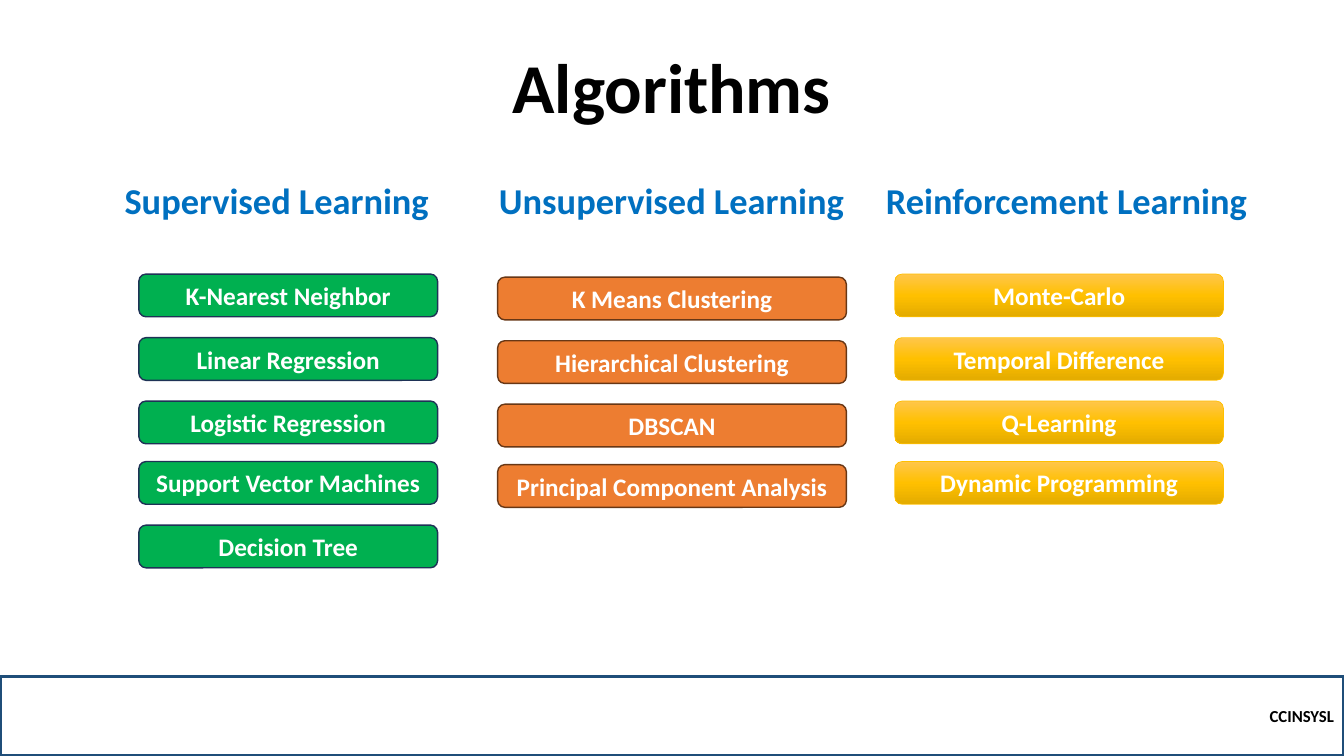
from copy import deepcopy

from pptx import Presentation
from pptx.dml.color import RGBColor
from pptx.enum.shapes import MSO_SHAPE
from pptx.enum.text import MSO_ANCHOR, MSO_AUTO_SIZE, PP_ALIGN
from pptx.oxml.ns import qn
from pptx.util import Pt

RECTANGLE, ROUNDED = MSO_SHAPE.RECTANGLE, MSO_SHAPE.ROUNDED_RECTANGLE
TOP, MIDDLE, BOTTOM = MSO_ANCHOR.TOP, MSO_ANCHOR.MIDDLE, MSO_ANCHOR.BOTTOM
CENTER, RIGHT = PP_ALIGN.CENTER, PP_ALIGN.RIGHT
NO_AUTOFIT = MSO_AUTO_SIZE.NONE
TITLE_ONLY = 5
WIDTH, HEIGHT = 960, 540
FOOTER_TOP = 483.1
BOX_HEIGHT = 30.5
BOX_OFFSETS = (0, 45.4, 90.7, 133.9, 179.3)

GREEN = ("00B050",)
ORANGE = ("ED7D31",)
GOLD = ("FFC64B", "FFC000", "E3AB00")

FAMILIES = [
    ("Supervised Learning", 99.2, 195.8, 213.4, GREEN, "1E3256", 1,
     ["K-Nearest Neighbor", "Linear Regression", "Logistic Regression",
      "Support Vector Machines", "Decision Tree"]),
    ("Unsupervised Learning", 355.5, 198, 249.1, ORANGE, "683715", 1,
     ["K Means Clustering", "Hierarchical Clustering", "DBSCAN",
      "Principal Component Analysis"]),
    ("Reinforcement Learning", 639.2, 195.8, 234.7, GOLD, "FFC000", 0.5,
     ["Monte-Carlo", "Temporal Difference", "Q-Learning",
      "Dynamic Programming"]),
]


def rgb(hex_code):
    return RGBColor.from_string(hex_code)


class SlideBuilder:
    font_name = "Calibri"

    def __init__(self, slide):
        self.slide = slide

    def label(self, frame, wording, size, color, align=CENTER):
        frame.text = wording
        paragraph = frame.paragraphs[0]
        paragraph.alignment = align
        font = paragraph.runs[0].font
        font.name, font.size, font.bold = self.font_name, Pt(size), True
        font.color.rgb = rgb(color)
        return paragraph

    def title(self, wording, left, top, width, height):
        heading = self.slide.shapes.title
        heading.left, heading.top = Pt(left), Pt(top)
        heading.width, heading.height = Pt(width), Pt(height)
        frame = heading.text_frame
        frame.auto_size = NO_AUTOFIT
        frame.vertical_anchor = BOTTOM
        self.label(frame, wording, 50, "000000").line_spacing = 0.9

    def paint(self, shape, colors):
        fill = shape.fill
        if not colors:
            fill.background()
        elif len(colors) == 1:
            fill.solid()
            fill.fore_color.rgb = rgb(colors[0])
        else:
            fill.gradient()
            fill.gradient_angle = 270
            stop_list = shape.element.spPr.find(".//" + qn("a:gsLst"))
            for _ in range(len(colors) - len(stop_list)):
                stop_list.append(deepcopy(stop_list[0]))
            for index, (stop, color) in enumerate(zip(fill.gradient_stops, colors)):
                stop.position = index / (len(colors) - 1)
                stop.color.rgb = rgb(color)

    def box(self, shapes, kind, bounds, colors, line_color, line_width,
            wording, size, text_color, align=CENTER):
        shape = shapes.add_shape(kind, *map(Pt, bounds))
        shape.shadow.inherit = False
        self.paint(shape, colors)
        shape.line.color.rgb = rgb(line_color)
        shape.line.width = Pt(line_width)
        shape.text_frame.word_wrap = True
        shape.text_frame.vertical_anchor = MIDDLE
        self.label(shape.text_frame, wording, size, text_color, align)

    def header_table(self, headings, left, top, width, height):
        table = self.slide.shapes.add_table(
            1, len(headings), Pt(left), Pt(top), Pt(width), Pt(height)).table
        table.first_row = table.horz_banding = False
        for cell, heading in zip(table.rows[0].cells, headings):
            cell.fill.background()
            cell.vertical_anchor = TOP
            self.label(cell.text_frame, heading, 26, "0070C0")

    def box_column(self, left, top, width, colors, line_color, line_width, algorithms):
        column = self.slide.shapes.add_group_shape()
        for offset, algorithm in zip(BOX_OFFSETS, algorithms):
            self.box(column.shapes, ROUNDED, (left, top + offset, width, BOX_HEIGHT),
                     colors, line_color, line_width, algorithm, 18, "FFFFFF")


def main():
    deck = Presentation()
    deck.slide_width, deck.slide_height = Pt(WIDTH), Pt(HEIGHT)
    slide = deck.slides.add_slide(deck.slide_layouts[TITLE_ONLY])
    builder = SlideBuilder(slide)
    builder.title("Algorithms", 120, 38.9, 720, 56.9)
    builder.box(slide.shapes, RECTANGLE, (0, FOOTER_TOP, WIDTH, HEIGHT - FOOTER_TOP),
                (), "1F4E79", 2.25, "CCINSYSL", 12, "000000", RIGHT)
    builder.header_table([family[0] for family in FAMILIES], 56.9, 124.6, 846, 44.6)
    for _, *column in FAMILIES:
        builder.box_column(*column)
    deck.save("out.pptx")


if __name__ == "__main__":
    main()
